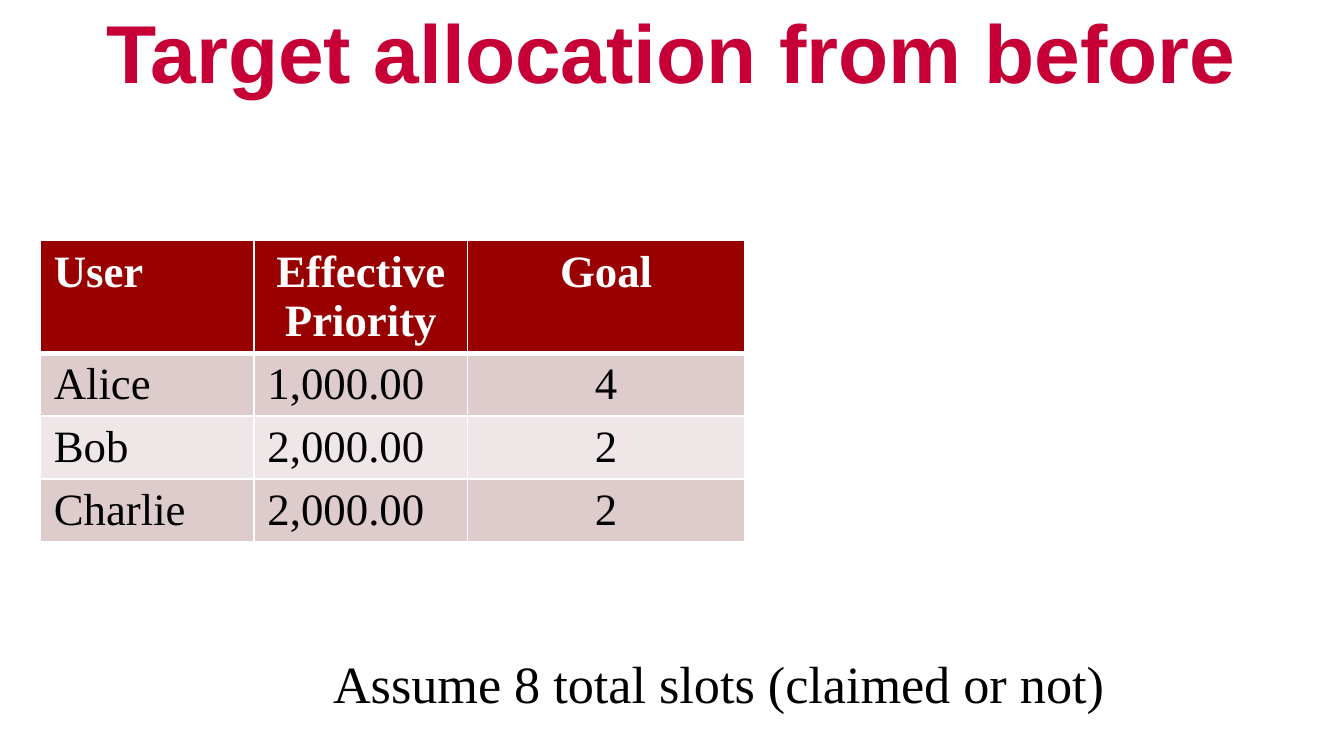
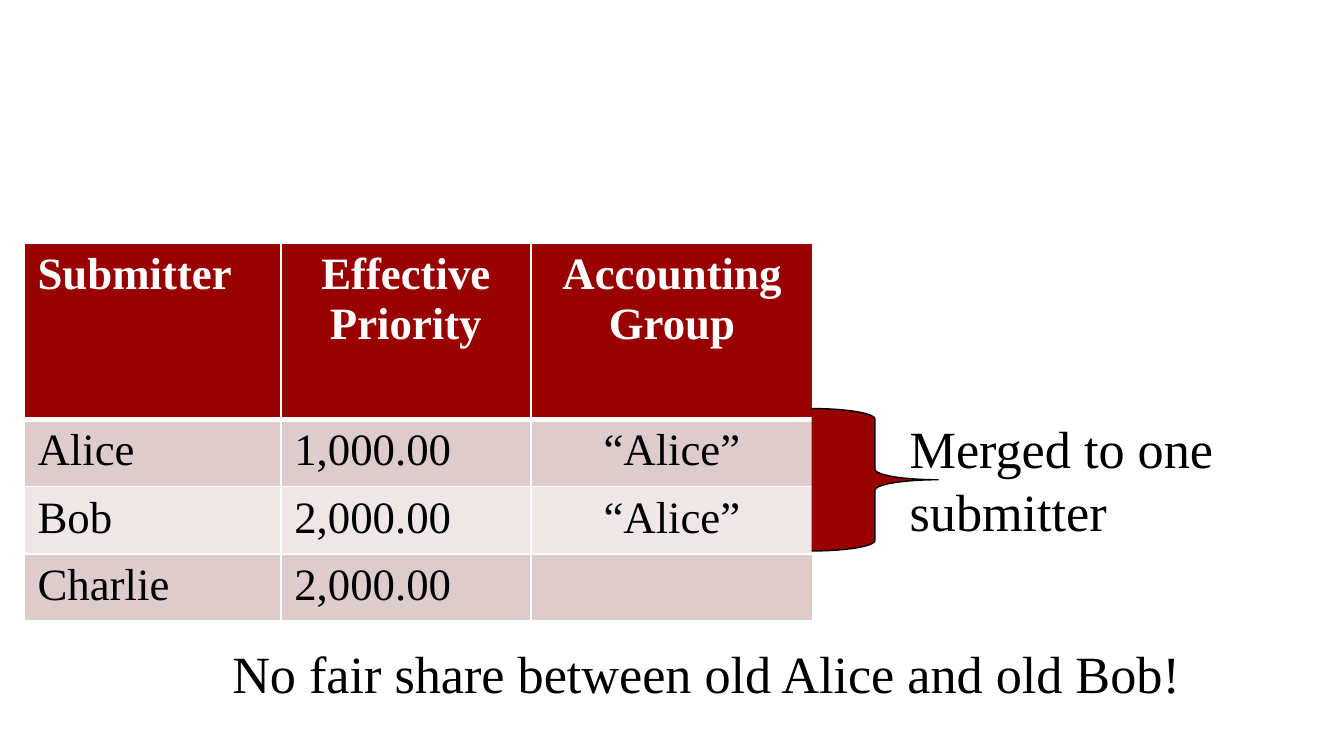
from dataclasses import dataclass

from lxml.etree import SubElement
from pptx import Presentation
from pptx.dml.color import RGBColor
from pptx.enum.shapes import MSO_SHAPE as Shape
from pptx.enum.text import MSO_ANCHOR as Anchor, MSO_AUTO_SIZE as AutoSize, PP_ALIGN as Align
from pptx.oxml.ns import qn
from pptx.slide import Slide
from pptx.util import Inches, Pt

COLORS = {
    "title": "C60036",
    "header": "990000",
    "odd_row": "DECCCC",
    "even_row": "EFE7E7",
    "white": "FFFFFF",
    "black": "000000",
}
TITLE = {"name": "Arial", "size": Pt(44), "bold": True, "color": "title"}
NOTE = {"name": "Times New Roman", "size": Pt(28), "color": "black"}
HEADER = {"name": "Times New Roman", "size": Pt(24), "bold": True, "color": "white"}
BODY = HEADER | {"bold": False, "color": "black"}


@dataclass
class Label:
    text: str
    left: float
    top: float
    width: float
    height: float
    style: dict


@dataclass
class PriorityTable:
    left: float
    top: float
    height: float
    columns: list[float]
    row_heights: list[float]
    rows: list[list[str]]


def rgb(name: str) -> RGBColor:
    return RGBColor.from_string(COLORS[name])


def write(frame, text: str, style: dict, align=Align.LEFT) -> None:
    """Write each line of text as a styled paragraph."""
    for index, line in enumerate(text.split("\n")):
        para = frame.paragraphs[0] if index == 0 else frame.add_paragraph()
        para.alignment = align
        if not line:
            continue
        span = para.add_run()
        span.text = line
        for key, value in style.items():
            if key == "color":
                span.font.color.rgb = rgb(value)
            else:
                setattr(span.font, key, value)


def add_label(page: Slide, label: Label) -> None:
    is_title = label.style is TITLE
    box = page.shapes.add_textbox(
        Inches(label.left), Inches(label.top), Inches(label.width), Inches(label.height))
    settings = {
        "word_wrap": True,
        "auto_size": AutoSize.NONE if is_title else AutoSize.SHAPE_TO_FIT_TEXT,
        "vertical_anchor": Anchor.MIDDLE if is_title else Anchor.TOP,
    }
    for key, value in settings.items():
        setattr(box.text_frame, key, value)
    write(box.text_frame, label.text, label.style, Align.CENTER if is_title else Align.LEFT)


def add_borders(cell, row: int) -> None:
    """White rules, thicker between the header and the body."""
    widths = {"L": 1, "R": 1, "T": 3 if row == 1 else 1, "B": 3 if row == 0 else 1}
    properties = cell._tc.get_or_add_tcPr()
    for side, width in widths.items():
        line = SubElement(properties, qn(f"a:ln{side}"), w=str(Pt(width)))
        fill = SubElement(line, qn("a:solidFill"))
        SubElement(fill, qn("a:srgbClr"), val=COLORS["white"])


def add_priority_table(page: Slide, data: PriorityTable) -> None:
    frame = page.shapes.add_table(
        len(data.rows), len(data.columns), Inches(data.left), Inches(data.top),
        Inches(sum(data.columns)), Inches(data.height))
    table = frame.table
    for column, width in zip(table.columns, data.columns):
        column.width = Inches(width)
    for row, height in zip(table.rows, data.row_heights):
        row.height = Inches(height)
    frame.height = Inches(data.height)

    for r, values in enumerate(data.rows):
        fill = "header" if r == 0 else "odd_row" if r % 2 else "even_row"
        for c, text in enumerate(values):
            cell = table.cell(r, c)
            add_borders(cell, r)
            cell.fill.solid()
            cell.fill.fore_color.rgb = rgb(fill)
            centered = c == 2 or (r == 0 and c == 1)
            write(cell.text_frame, text, BODY if r else HEADER,
                  Align.CENTER if centered else Align.LEFT)


def add_brace(page: Slide, left: float, top: float, width: float, height: float) -> None:
    brace = page.shapes.add_shape(
        Shape.RIGHT_BRACE, Inches(left), Inches(top), Inches(width), Inches(height))
    brace.shadow.inherit = False
    brace.fill.solid()
    brace.fill.fore_color.rgb = rgb("header")
    brace.line.color.rgb = rgb("black")
    brace.line.width = Pt(0.75)


def table_rows(first: str, last: str, values: list[str]) -> list[list[str]]:
    """Both tables list the same users and priorities."""
    users = ["Alice", "Bob", "Charlie"]
    priorities = ["1,000.00", "2,000.00", "2,000.00"]
    body = [list(row) for row in zip(users, priorities, values)]
    return [[first, "Effective\nPriority", last], *body]


def main() -> None:
    # Widescreen deck, 16:9
    deck = Presentation()
    deck.slide_width, deck.slide_height = Inches(10), Inches(10 * 9 / 16)
    blank = deck.slide_layouts[6]

    # Slide 1: target allocation
    page = deck.slides.add_slide(blank)
    add_label(page, Label("Target allocation from before", 0, 0, 10, 0.75, TITLE))
    add_priority_table(page, PriorityTable(
        0.3, 1.79, 2.4, [1.59, 1.59, 2.06], [0.41] * 4,
        table_rows("User", "Goal", ["4", "2", "2"])))
    add_label(page, Label("Assume 8 total slots (claimed or not)", 2.38, 4.8, 6.57, 0.57, NOTE))

    # Slide 2: accounting group merges two submitters
    page = deck.slides.add_slide(blank)
    add_priority_table(page, PriorityTable(
        0.18, 1.81, 2.83, [1.91, 1.86, 2.1], [1.31] + [0.5] * 3,
        table_rows("Submitter", "Accounting\nGroup", ["“Alice”", "“Alice”", ""])))
    add_brace(page, 6.04, 3.04, 0.94, 1.06)
    add_label(page, Label("Merged to one\nsubmitter", 6.67, 3.05, 3.44, 1.04, NOTE))
    add_label(page, Label(
        "No fair share between old Alice and old Bob!", 1.63, 4.72, 7.42, 0.57, NOTE))

    deck.save("out.pptx")


if __name__ == "__main__":
    main()
